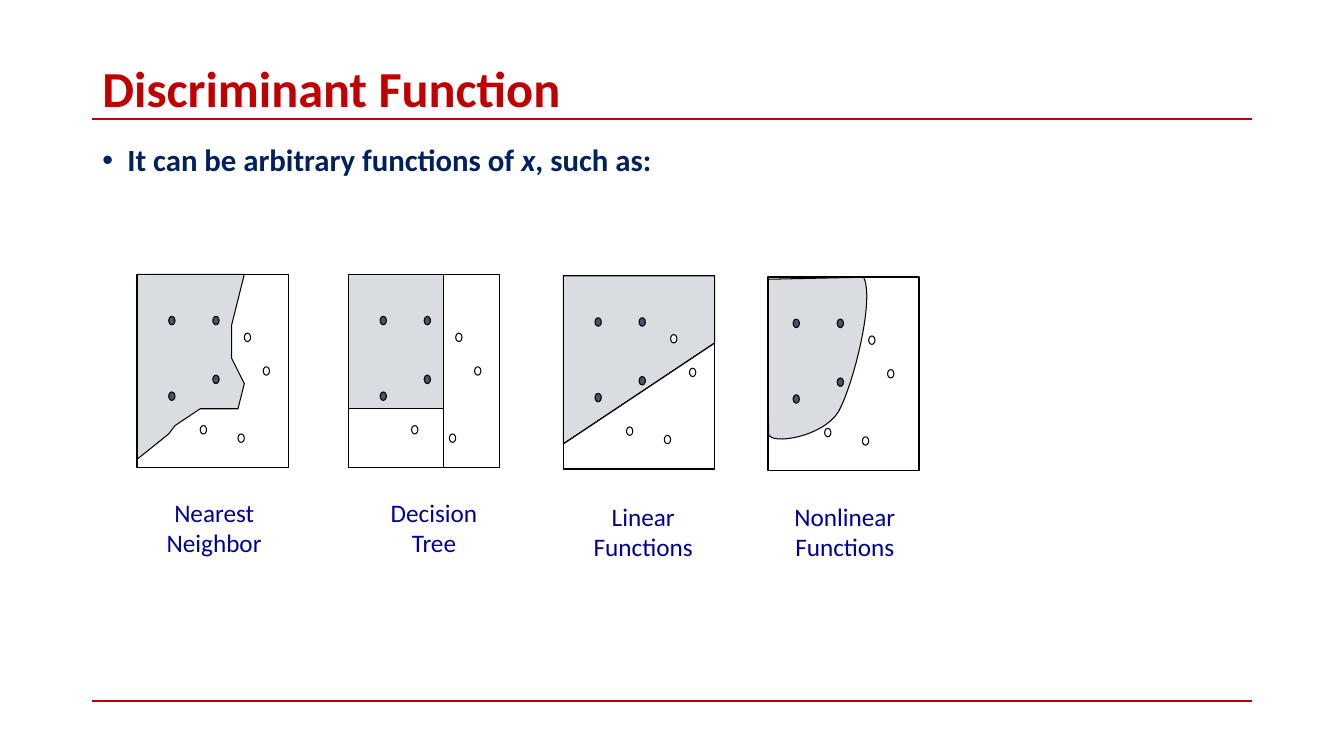
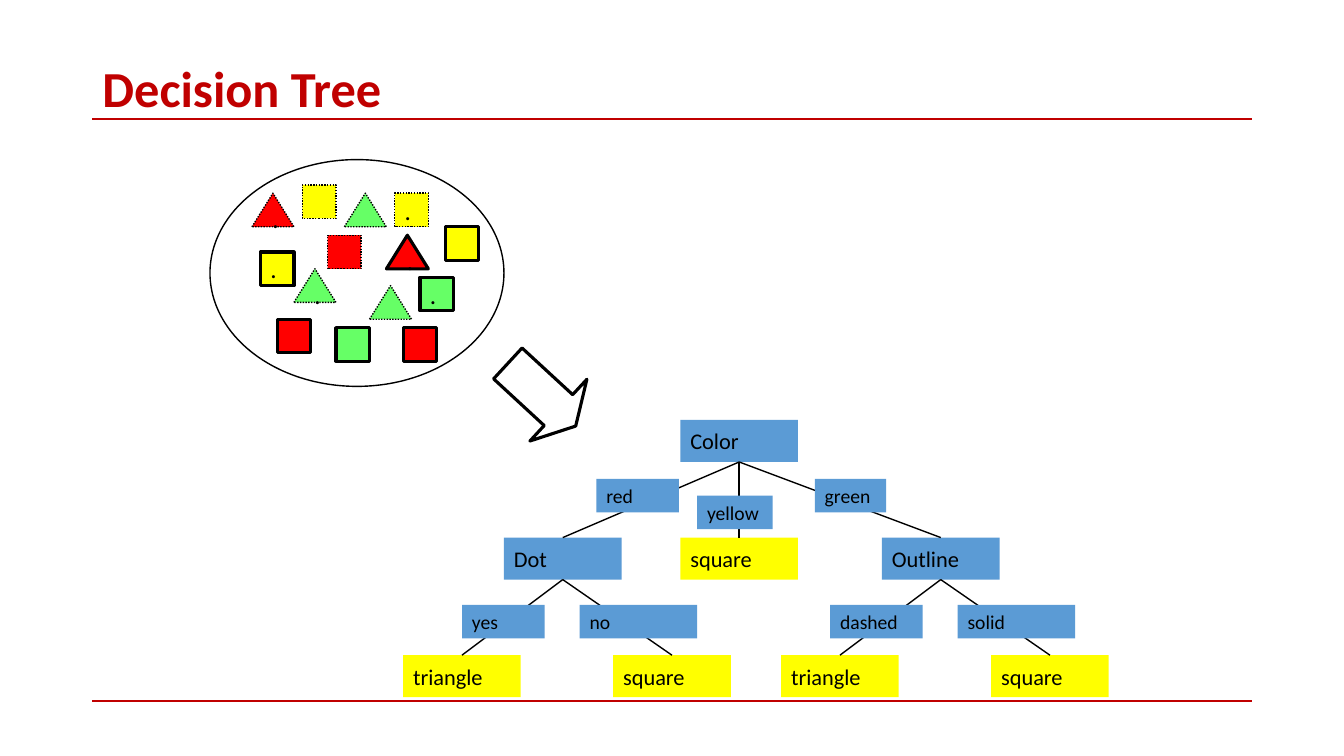
from lxml import etree
from pptx import Presentation
from pptx.dml.color import RGBColor
from pptx.enum.dml import MSO_LINE
from pptx.enum.shapes import MSO_CONNECTOR, MSO_SHAPE
from pptx.enum.text import MSO_ANCHOR, MSO_AUTO_SIZE, PP_ALIGN
from pptx.oxml.ns import qn
from pptx.shapes.connector import Connector
from pptx.util import Pt

FONT = "Calibri"
COLORS = {
    "accent": "C00000", "body": "002060", "label": "000099", "black": "000000",
    "white": "FFFFFF", "slate": "44546A", "blue": "5B9BD5", "yellow": "FFFF00",
    "red": "FF0000", "green": "66FF66",
}


def paint(sp, fill=None, line=None, width=1, alpha=None):
    if line:
        sp.line.color.rgb = RGBColor.from_string(COLORS[line])
        sp.line.width = Pt(width)
    else:
        sp.line.fill.background()
    if isinstance(sp, Connector):
        etree.SubElement(sp.element.spPr, qn("a:effectLst"))
        return
    sp.shadow.inherit = False
    if not fill:
        sp.fill.background()
        return
    sp.fill.solid()
    sp.fill.fore_color.rgb = RGBColor.from_string(COLORS[fill])
    if alpha:
        clr = sp.element.spPr.find(qn("a:solidFill"))[0]
        etree.SubElement(clr, qn("a:alpha")).set("val", str(alpha * 1000))


def write(p, text, size, color, bold=False, italic=False, align=PP_ALIGN.LEFT):
    p.alignment = align
    r = p.add_run()
    r.text = text
    r.font.name = FONT
    r.font.size = Pt(size)
    r.font.bold = bold
    r.font.italic = italic
    r.font.color.rgb = RGBColor.from_string(COLORS[color])


prs = Presentation()
prs.slide_width, prs.slide_height = Pt(960), Pt(540)
layout = prs.slide_layouts[5]
for ph in list(layout.placeholders)[1:]:
    ph.element.getparent().remove(ph.element)

for text in ("Discriminant Function", "Decision Tree"):
    s = prs.slides.add_slide(layout)
    title = s.shapes.title
    title.left, title.top, title.width, title.height = Pt(66), Pt(44), Pt(828), Pt(42)
    tf = title.text_frame
    tf.auto_size = MSO_AUTO_SIZE.NONE
    tf.vertical_anchor = MSO_ANCHOR.MIDDLE
    p = tf.paragraphs[0]
    p.line_spacing = 0.9
    write(p, text, 36, "accent", bold=True)

functions_slide, tree_slide = prs.slides

for y in (85, 500.5):
    rule = functions_slide.shapes.add_connector(
        MSO_CONNECTOR.STRAIGHT, Pt(66), Pt(y), Pt(894), Pt(y))
    paint(rule, line="accent", width=1.5)
    layout.shapes.element.append(rule.element)

s = functions_slide
body = s.shapes.add_textbox(Pt(66), Pt(100), Pt(499), Pt(387))
tf = body.text_frame
tf.word_wrap = True
p = tf.paragraphs[0]
pPr = p._p.get_or_add_pPr()
pPr.set("marL", str(Pt(18)))
pPr.set("indent", str(-Pt(18)))
etree.SubElement(pPr, qn("a:buFont")).set("typeface", "Arial")
etree.SubElement(pPr, qn("a:buChar")).set("char", "•")
p.line_spacing = 0.9
for text, italic in (("It can be arbitrary functions of ", False), ("x", True),
                     (", such as:", False)):
    write(p, text, 22, "body", bold=True, italic=italic, align=PP_ALIGN.JUSTIFY)

PANEL_W, PANEL_H = 108, 138
DOTS = [
    (22.5, 30, "slate"), (54, 30, "slate"), (22.5, 84, "slate"), (54, 72, "slate"),
    (45, 108, "white"), (76.5, 42, "white"), (90, 66, "white"), (72, 114, "white"),
]
nearest = [(76.5, 0), (67.5, 36), (67.5, 60), (76.5, 78), (72, 96), (45, 96),
           (27, 108), (22.5, 114), (0, 132), (0, 0)]
tree = [(0, 0), (67.5, 0), (67.5, 96), (0, 96)]
linear = [(0, 0), (0, 120), (108, 48), (108, 0)]
nonlinear = [(0, 1.5)]
for curve in ([(0.5, 112), (2, 120), (39, 114.5), (50.5, 96)],
              [(50.5, 96), (61, 77), (76.5, 16), (68.5, 0)]):
    for step in range(17):
        t = step / 16
        weights = ((1 - t) ** 3, 3 * t * (1 - t) ** 2, 3 * t * t * (1 - t), t ** 3)
        nonlinear.append(tuple(sum(w * pt[axis] for w, pt in zip(weights, curve))
                               for axis in (0, 1)))

panels = [
    (98, 196, 0, nearest, [], ("Nearest", "Neighbor"), 153, 351.5),
    (249, 196, 0, tree, [(67.5, 0, 67.5, 138), (0, 96, 67.5, 96)],
     ("Decision", "Tree"), 310, 351.5),
    (402.5, 197, 0, linear, [(0, 120, 108, 48)], ("Linear", "Functions"), 459.5, 354.5),
    (548.5, 198, -4.5, nonlinear, [], ("Nonlinear", "Functions"), 603.5, 354.5),
]
for x, y, shift, outline, borders, caption, center, caption_top in panels:
    shapes = s.shapes.add_group_shape().shapes
    points = [(Pt(x + dx), Pt(y + dy)) for dx, dy in outline]
    builder = shapes.build_freeform(*points[0])
    builder.add_line_segments(points[1:], close=True)
    paint(builder.convert_to_shape(), "slate", "black", 0.75, alpha=20)
    frame = shapes.add_shape(MSO_SHAPE.RECTANGLE, Pt(x), Pt(y), Pt(PANEL_W), Pt(PANEL_H))
    paint(frame, line="black")
    for dx, dy, color in DOTS:
        dot = shapes.add_shape(MSO_SHAPE.OVAL, Pt(x + dx + shift), Pt(y + dy), Pt(4.5), Pt(6))
        paint(dot, color, "black", 0.75)
    for x1, y1, x2, y2 in borders:
        border = shapes.add_connector(
            MSO_CONNECTOR.STRAIGHT, Pt(x + x1), Pt(y + y1), Pt(x + x2), Pt(y + y2))
        paint(border, line="black", width=0.75)
    tf = shapes.add_textbox(Pt(center - 50), Pt(caption_top), Pt(100), Pt(51)).text_frame
    tf.word_wrap = True
    for i, text in enumerate(caption):
        p = tf.add_paragraph() if i else tf.paragraphs[0]
        write(p, text, 18, "label", align=PP_ALIGN.CENTER)

s = tree_slide
nodes = {}
for key, text, x, y, color in (
    ("color", "Color", 486, 300, "blue"),
    ("dot", "Dot", 360, 384, "blue"),
    ("outline", "Outline", 630, 384, "blue"),
    ("yellow", "square", 486, 384, "yellow"),
    ("dot yes", "triangle", 288, 468, "yellow"),
    ("dot no", "square", 438, 468, "yellow"),
    ("dashed", "triangle", 558, 468, "yellow"),
    ("solid", "square", 708, 468, "yellow"),
):
    sp = nodes[key] = s.shapes.add_shape(MSO_SHAPE.RECTANGLE, Pt(x), Pt(y), Pt(84), Pt(30))
    paint(sp, color)
    sp.text_frame.vertical_anchor = MSO_ANCHOR.MIDDLE
    write(sp.text_frame.paragraphs[0], text, 16, "black")

for parent, children in (("color", ("dot", "yellow", "outline")),
                         ("dot", ("dot yes", "dot no")),
                         ("outline", ("dashed", "solid"))):
    for child in children:
        edge = s.shapes.add_connector(MSO_CONNECTOR.STRAIGHT, 0, 0, 0, 0)
        edge.begin_connect(nodes[child], 0)
        edge.end_connect(nodes[parent], 2)
        paint(edge, line="black")

for text, x, y, w in (
    ("red", 426, 342, 59), ("yellow", 498, 354, 54), ("green", 582, 342, 51),
    ("yes", 330, 432, 59), ("no", 414, 432, 84),
    ("dashed", 593, 432, 66), ("solid", 684, 432, 84),
):
    sp = s.shapes.add_shape(MSO_SHAPE.RECTANGLE, Pt(x), Pt(y), Pt(w), Pt(24))
    paint(sp, "blue")
    sp.text_frame.vertical_anchor = MSO_ANCHOR.TOP
    write(sp.text_frame.paragraphs[0], text, 14, "black")

SQUARE, TRIANGLE = (MSO_SHAPE.RECTANGLE, 24), (MSO_SHAPE.ISOSCELES_TRIANGLE, 30)
for (kind, w), x, y, color, solid, dotted in (
    (TRIANGLE, 276, 168, "red", True, True),
    (SQUARE, 216, 132, "yellow", False, False),
    (TRIANGLE, 180, 138, "red", False, True),
    (TRIANGLE, 264, 204, "green", False, False),
    (TRIANGLE, 246, 138, "green", False, False),
    (TRIANGLE, 210, 192, "green", False, True),
    (SQUARE, 234, 168, "red", False, False),
    (SQUARE, 318, 162, "yellow", True, False),
    (SQUARE, 186, 180, "yellow", True, True),
    (SQUARE, 198, 228, "red", True, False),
    (SQUARE, 282, 138, "yellow", False, True),
    (SQUARE, 240, 234, "green", True, False),
    (SQUARE, 300, 198, "green", True, True),
    (SQUARE, 288, 234, "red", True, False),
):
    sp = s.shapes.add_shape(kind, Pt(x), Pt(y), Pt(w), Pt(24))
    paint(sp, color, "black", 2.25 if solid else 1)
    if not solid:
        sp.line.dash_style = MSO_LINE.ROUND_DOT
    if dotted:
        tf = sp.text_frame
        tf.word_wrap = False
        tf.vertical_anchor = MSO_ANCHOR.MIDDLE
        write(tf.paragraphs[0], ".", 18, "black")

examples = s.shapes.add_shape(MSO_SHAPE.OVAL, Pt(150), Pt(114), Pt(210), Pt(162))
paint(examples, line="black")
arrow = s.shapes.add_shape(MSO_SHAPE.RIGHT_ARROW, Pt(354), Pt(252), Pt(66), Pt(60))
arrow.adjustments[0], arrow.adjustments[1] = 0.5, 0.28
arrow.rotation = 42.7
paint(arrow, line="black", width=2.25)

prs.save("out.pptx")
